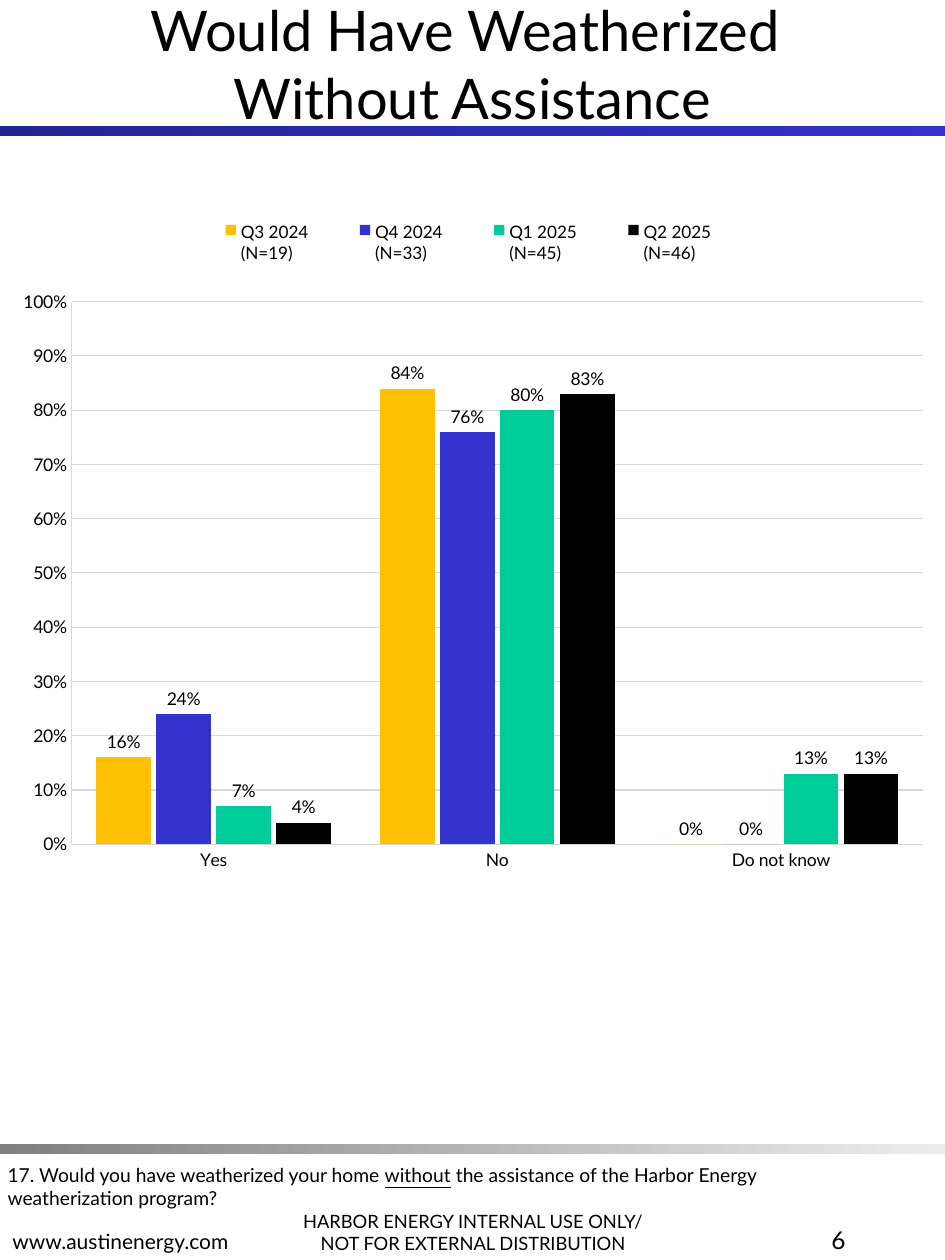
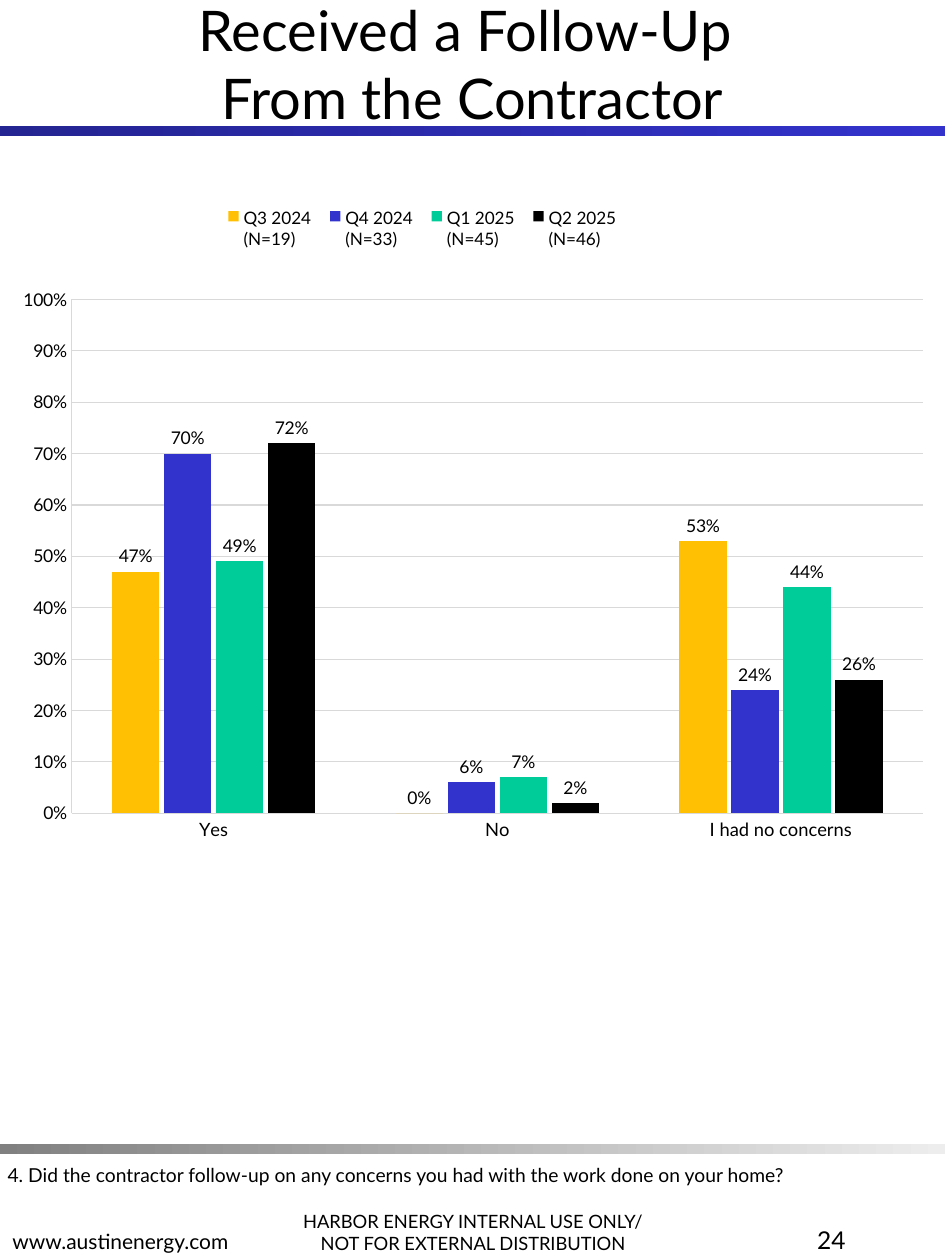
from lxml import etree
from pptx import Presentation
from pptx.chart.data import CategoryChartData
from pptx.dml.color import RGBColor
from pptx.enum.chart import XL_CHART_TYPE, XL_LABEL_POSITION, XL_LEGEND_POSITION, XL_TICK_MARK
from pptx.enum.shapes import MSO_SHAPE
from pptx.enum.text import MSO_ANCHOR, MSO_AUTO_SIZE, PP_ALIGN
from pptx.oxml.ns import qn
from pptx.util import Inches, Pt

COLUMNS = XL_CHART_TYPE.COLUMN_CLUSTERED
OUTSIDE_END = XL_LABEL_POSITION.OUTSIDE_END
LEGEND_TOP = XL_LEGEND_POSITION.TOP
NO_TICK = XL_TICK_MARK.NONE
RECTANGLE = MSO_SHAPE.RECTANGLE
TOP, MIDDLE, BOTTOM = MSO_ANCHOR.TOP, MSO_ANCHOR.MIDDLE, MSO_ANCHOR.BOTTOM
NO_AUTO_SIZE = MSO_AUTO_SIZE.NONE
LEFT, CENTER, RIGHT = PP_ALIGN.LEFT, PP_ALIGN.CENTER, PP_ALIGN.RIGHT

PAGE_WIDTH, PAGE_HEIGHT = 7.5, 10
FONT = "Lato"
PERCENT = "0%"
COLORS = {
    "text": "000000",
    "grid": "D9D9D9",
    "navy": "242492",
    "blue": "3333CC",
    "gray": "808080",
    "light gray": "EDEDED",
}
# Each quarter surveyed: legend name and column colour
QUARTERS = [
    ("Q3 2024\n(N=19)", "FFC003"),
    ("Q4 2024\n(N=33)", "3133CC"),
    ("Q1 2025\n(N=45)", "00CC99"),
    ("Q2 2025\n(N=46)", "000000"),
]

# Every second part of a question is underlined
SURVEY_PAGES = [
    {
        "title": "Would Have Weatherized \vWithout Assistance",
        "number": "6",
        "question": ["17. Would you have weatherized your home ", "without",
                     " the assistance of the Harbor Energy weatherization program?"],
        "answers": ["Yes", "No", "Do not know"],
        "values": [(0.16, 0.84, 0), (0.24, 0.76, 0), (0.07, 0.8, 0.13), (0.04, 0.83, 0.13)],
        "box": (0.06, 1.63, 7.39, 5.35),
        "plot": (0.069, 0.143, 0.914, 0.805),
        "legend": (0.185, 0.01, 0.62, 0.09),
        "gap": 90,
        "answer size": 10,
    },
    {
        "title": "Received a Follow-Up \vFrom the Contractor",
        "number": "24",
        "question": ["4. Did the contractor follow-up on any concerns you had "
                     "with the work done on your home?"],
        "answers": ["Yes", "No", "I had no concerns"],
        "values": [(0.47, 0, 0.53), (0.7, 0.06, 0.24), (0.49, 0.07, 0.44), (0.72, 0.02, 0.26)],
        "box": (0.06, 1.61, 7.39, 5.15),
        "plot": (0.069, 0.149, 0.914, 0.792),
        "legend": (0.223, 0, 0.445, 0.08),
        "gap": 170,
        "answer size": 10.5,
    },
]


def inches(box):
    return [Inches(length) for length in box]


def style_font(font, size):
    font.name = FONT
    font.size = Pt(size)
    font.color.rgb = RGBColor.from_string(COLORS["text"])


def style_line(line, width):
    line.color.rgb = RGBColor.from_string(COLORS["grid"])
    line.width = Pt(width)


def style_text(frame, size, align, anchor):
    frame.word_wrap = True
    frame.auto_size = NO_AUTO_SIZE
    frame.vertical_anchor = anchor
    for para in frame.paragraphs:
        para.alignment = align
        for span in para.runs:
            style_font(span.font, size)


def add_title(page, text):
    title = page.shapes.title
    title.left, title.top, title.width, title.height = inches((0, 0, PAGE_WIDTH, 1))
    title.text_frame.text = text
    style_text(title.text_frame, 32, CENTER, MIDDLE)


def add_text(page, box, text, size, align=LEFT, anchor=TOP):
    frame = page.shapes.add_textbox(*inches(box)).text_frame
    frame.text = text
    style_text(frame, size, align, anchor)


def add_question(page, parts):
    frame = page.shapes.add_textbox(*inches((0, 9.18, 6.81, 0.48))).text_frame
    frame.margin_left = Inches(0.06)
    for index, part in enumerate(parts):
        span = frame.paragraphs[0].add_run()
        span.text = part
        span.font.underline = index % 2 == 1
    style_text(frame, 11, LEFT, TOP)


def add_band(page, top, start, end):
    band = page.shapes.add_shape(RECTANGLE, *inches((0, top, PAGE_WIDTH, 0.08)))
    band.shadow.inherit = False
    band.line.fill.background()
    band.fill.gradient()
    band.fill.gradient_angle = 0
    for stop, position, name in zip(band.fill.gradient_stops, (0, 1), (start, end)):
        stop.position = position
        stop.color.rgb = RGBColor.from_string(COLORS[name])


def add_frame(page):
    """Bands and footers shared by all pages."""
    add_band(page, 1, "navy", "blue")
    add_band(page, 9.08, "gray", "light gray")
    add_text(page, (2.16, 9.33, 3.19, 0.67),
             "HARBOR ENERGY INTERNAL USE ONLY/\nNOT FOR EXTERNAL DISTRIBUTION",
             10.5, CENTER, BOTTOM)
    add_text(page, (0, 9.36, 3.19, 0.64), "www.austinenergy.com", 12, LEFT, BOTTOM)


def place_part(part, index, box, inner=False):
    """Give a chart part a fixed place, as fractions of the chart."""
    for old in part.findall(qn("c:layout")):
        part.remove(old)
    layout = etree.Element(qn("c:layout"))
    manual = etree.SubElement(layout, qn("c:manualLayout"))
    settings = [("layoutTarget", "inner")] if inner else []
    settings += [("xMode", "edge"), ("yMode", "edge"), *zip("xywh", box)]
    for tag, value in settings:
        etree.SubElement(manual, qn(f"c:{tag}")).set("val", str(value))
    part.insert(index, layout)


def style_axes(chart, answer_size):
    answers, shares = chart.category_axis, chart.value_axis
    for axis, size, width in ((answers, answer_size, 0.62), (shares, 10, 0.41)):
        axis.major_tick_mark = axis.minor_tick_mark = NO_TICK
        style_font(axis.tick_labels.font, size)
        style_line(axis.format.line, width)
    answers.has_major_gridlines = False
    shares.minimum_scale, shares.maximum_scale, shares.major_unit = 0, 1, 0.1
    shares.has_major_gridlines = True
    style_line(shares.major_gridlines.format.line, 0.62)
    shares.tick_labels.number_format = PERCENT
    shares.tick_labels.number_format_is_linked = False


def style_columns(plot, gap):
    plot.gap_width = gap
    plot.overlap = -10
    plot.vary_by_categories = False
    for series, (_, color) in zip(plot.series, QUARTERS):
        series.format.fill.solid()
        series.format.fill.fore_color.rgb = RGBColor.from_string(color)
        labels = series.data_labels
        labels.show_value = True
        labels.position = OUTSIDE_END
        labels.number_format = PERCENT
        labels.number_format_is_linked = False
        style_font(labels.font, 10)


def add_survey_chart(page, survey):
    data = CategoryChartData(number_format=PERCENT)
    data.categories = survey["answers"]
    for (name, _), values in zip(QUARTERS, survey["values"]):
        data.add_series(name, values)
    chart = page.shapes.add_chart(COLUMNS, *inches(survey["box"]), data).chart
    chart.has_title = False
    style_font(chart.font, 10)
    style_axes(chart, survey["answer size"])
    style_columns(chart.plots[0], survey["gap"])

    # Legend above the plot
    chart.has_legend = True
    legend = chart.legend
    legend.position = LEGEND_TOP
    legend.include_in_layout = False
    style_font(legend.font, 9.8)
    chart_space = chart.element
    place_part(chart_space.find(".//" + qn("c:plotArea")), 0, survey["plot"], inner=True)
    place_part(chart_space.find(".//" + qn("c:legend")), 1, survey["legend"])


def main():
    deck = Presentation()
    deck.slide_width, deck.slide_height = inches((PAGE_WIDTH, PAGE_HEIGHT))
    title_only = deck.slide_layouts[5]
    for survey in SURVEY_PAGES:
        page = deck.slides.add_slide(title_only)
        add_frame(page)
        add_title(page, survey["title"])
        add_text(page, (5.25, 9.67, 1.56, 0.33), survey["number"], 14, RIGHT)
        add_question(page, survey["question"])
        add_survey_chart(page, survey)
    deck.save("out.pptx")


if __name__ == "__main__":
    main()
